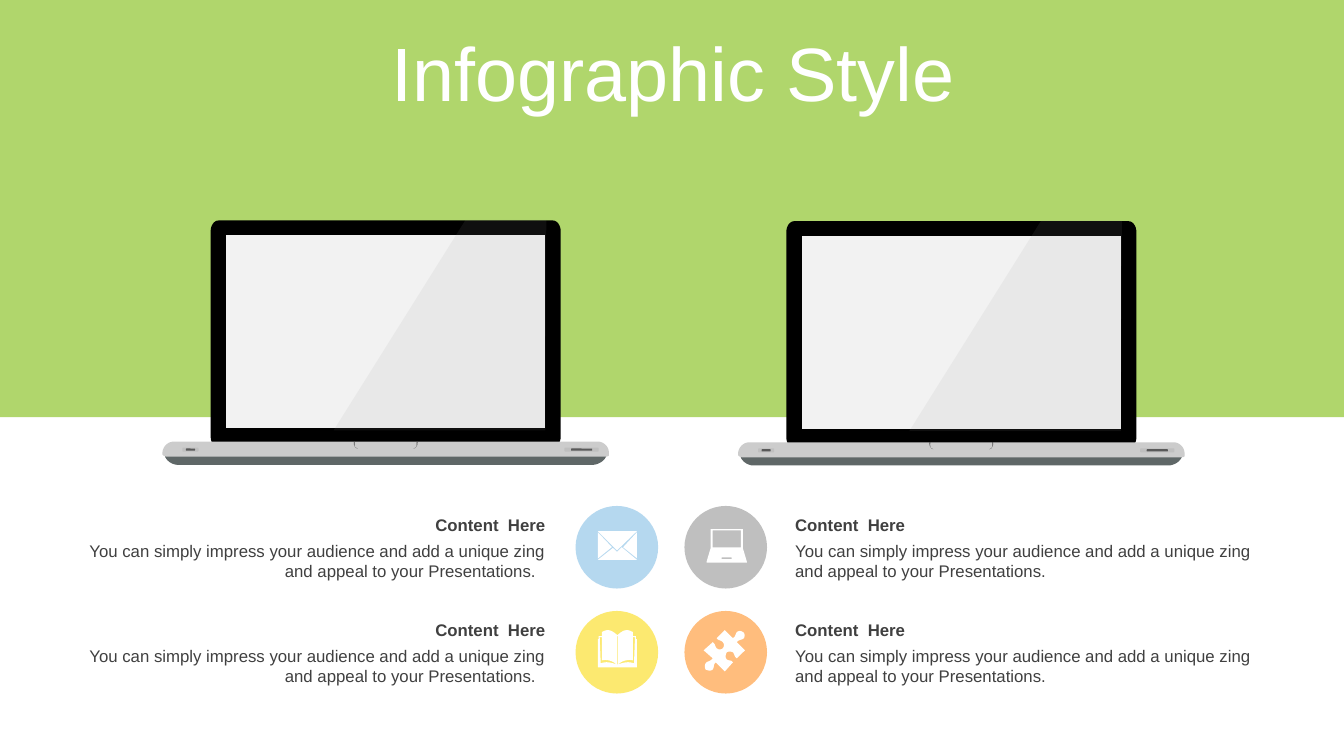
from lxml import etree
from pptx import Presentation
from pptx import util as u
from pptx.dml.color import RGBColor
from pptx.enum import shapes, text
from pptx.oxml.ns import qn

Pt = u.Pt
COLORS = {
    "green": "B0D66C", "white": "FFFFFF", "ink": "404040", "lid": "000000",
    "screen": "F2F2F2", "base": "CCCCCC", "foot": "5F6767", "notch": "4D4D4D",
    "slot": "BFBFBF", "port": "595959", "glare": "999999",
    "blue": "96C8E9", "gray": "A5A5A5", "yellow": "FBE034", "orange": "FFA246",
}

# Content
TITLE = "Infographic Style"
HEADING = "Content  Here"
BODY = "You can simply impress your audience and add a unique zing and appeal to your Presentations."

# Outlines use M (move), L (line), C (curve) and Z (close), in points
LAPTOPS = [(116, 157), (527.2, 157.5)]
LAPTOP_PARTS = [
    ("foot", "M 308 175 C 308 175 314.5 174.5 317 169 L 317 166 L 2 166 L 2 169.5 "
             "C 4 173.5 8.5 175 10.5 175 Z"),
    ("lid", "M 284.5 155 C 284.5 159 282 162.5 279 162.5 L 40 162.5 C 37 162.5 34.5 159 34.5 155 "
            "L 34.5 8 C 34.5 4 37 0.5 40 0.5 L 279 0.5 C 282 0.5 284.5 4 284.5 8 Z"),
    ("screen", "M 45.4 10.8 L 273.4 10.8 L 273.4 149 L 45.4 149 Z"),
    ("base", "M 8.5 158.4 L 311 158.4 C 315.3 158.4 319 162 319 166.3 L 319 168 "
             "C 319 168 319.5 169.2 316 169.2 L 4 169.2 C 3 169.2 1.4 169.2 0 167.7 "
             "L 0 166.3 C 0.5 162 3.5 158.4 8.5 158.4 Z"),
    ("notch", "M 137.4 158.4 C 137 162 137.5 163 139.6 163.4 C 136 162.5 136.8 158.4 136.8 158.4 Z "
              "M 181.6 158.4 C 182 162 181.5 163 179.4 163.4 C 183 162.5 182.2 158.4 182.2 158.4 Z"),
]
GLARE = "M 216.6 0 L 274.2 0 L 273.5 150.4 L 122.3 150.4 Z"
SLOTS = [(20.05, 11.5, 6.5), (299.45, 24.5, 15.1)]  # centre, slot width, port width
SLOT_Y = 164.2

ENVELOPE = ("M 33 29.5 L 43.9 38.5 L 15.9 38.5 L 26.7 30 L 29.7 32.8 Z "
            "M 43.9 18.8 L 43.9 37.4 L 34 29.5 Z M 15.9 18.8 L 26 29.4 L 15.9 37.6 Z "
            "M 15.9 18 L 43.9 18 L 29.7 31.7 Z")
NOTEBOOK = ("M 26.6 36.8 L 26.6 38 L 33.8 38 L 33.8 36.8 Z "
            "M 20.2 17.5 L 20.2 29.5 L 40.3 29.5 L 40.3 17.5 Z "
            "M 18.7 16.6 L 41.8 16.6 L 41.8 30.3 L 44.6 39.6 L 44.6 40.5 L 15.9 40.5 "
            "L 15.9 39.6 L 18.7 30.3 Z")
BOOK = ("M 29.9 17.3 C 32.4 15 34.6 13.7 36.7 13.7 C 38.2 13.7 39.6 14.4 41 15.1 L 41 18 "
        "L 43.2 18 L 43.2 20.2 L 43.9 20.2 L 43.9 40.3 L 15.9 40.3 L 15.9 20.2 L 16.6 20.2 "
        "L 16.6 18 L 18.8 18 L 18.8 15.1 C 20.2 14.4 21.6 13.7 23 13.7 "
        "C 25.2 13.7 27.4 15 29.9 17.3 Z "
        "M 30.2 18 L 30.2 38.2 C 33.8 35.3 37.4 34.6 41 35.3 L 41 18.7 L 42.5 18.7 "
        "L 41.8 37.4 C 37.4 36 35.3 36.7 30.2 38.2 L 29.7 38.2 L 29.7 18 Z "
        "M 29.5 38.2 C 25.9 35.3 22.3 34.6 18.8 35.3 L 18.8 18.7 L 17.3 18.7 "
        "L 18 37.4 C 22.3 36 24.5 36.7 29.5 38.2 Z")
PUZZLE = ("M 41.8 15.1 C 43.2 15.8 43.2 18 42.5 19.4 C 41 20.9 38.9 20.2 37.4 22.3 "
          "L 43.2 28.1 L 37.4 33.8 C 35.3 32.4 36 31 34.6 29.5 C 33.1 28.8 31.7 28.8 30.2 29.5 "
          "C 29.5 31 28.8 33.1 30.2 34.6 C 32.4 36 33.1 34.6 34.6 36.7 L 28.8 43.2 L 22.3 36.7 "
          "C 20.2 38.9 21.6 39.6 20.2 41.8 C 18.7 43.2 16.6 42.5 15.1 41.8 "
          "C 14.4 40.3 14.4 38.9 15.1 37.4 C 16.6 35.3 18 36.7 20.2 33.8 L 13.7 28.1 L 20.2 22.3 "
          "C 22.3 23.8 21.6 25.2 23 26.6 C 24.5 28.1 26.6 27.4 27.4 26.6 "
          "C 28.1 25.9 28.8 23.8 27.4 22.3 C 25.2 20.2 24.5 21.6 23 19.4 L 28.8 13.7 L 34.6 19.4 "
          "C 36.7 18 36 17.3 37.4 15.1 C 38.9 13.7 41 14.4 41.8 15.1 Z")

# Column, row, circle colour, icon
ITEMS = [(0, 0, "blue", ENVELOPE), (1, 0, "gray", NOTEBOOK),
         (0, 1, "yellow", BOOK), (1, 1, "orange", PUZZLE)]
# Circle left, text left, text width, alignment, end of the body text
COLUMNS = [(411.1, 48.2, 348.5, text.PP_ALIGN.RIGHT, "  "),
           (488.9, 560.9, 350.6, text.PP_ALIGN.LEFT, "")]
ROW_TOP, ROW_PITCH, CIRCLE = 361.4, 75, 59

prs = Presentation()
prs.slide_width, prs.slide_height = Pt(960), Pt(540)
s = prs.slides.add_slide(prs.slide_layouts[6])


def paint(sp, color, alpha=None):
    sp.shadow.inherit = False
    sp.fill.solid()
    sp.fill.fore_color.rgb = RGBColor.from_string(COLORS[color])
    sp.line.fill.background()
    if alpha:
        clr = sp.fill._xPr.find(qn("a:solidFill"))[0]
        etree.SubElement(clr, qn("a:alpha")).set("val", str(alpha * 1000))


def preset(kind, x, y, w, h, color, alpha=None):
    sp = s.shapes.add_shape(kind, Pt(x), Pt(y), Pt(w), Pt(h))
    paint(sp, color, alpha)
    return sp


def bezier(p0, p1, p2, p3, steps=8):
    for i in range(1, steps + 1):
        t = i / steps
        k = 1 - t
        yield tuple(k**3 * a + 3 * k * k * t * b + 3 * k * t * t * c + t**3 * d
                    for a, b, c, d in zip(p0, p1, p2, p3))


def outline(d, x0, y0, color, alpha=None):
    tokens = iter(d.split())
    point = lambda: (x0 + float(next(tokens)), y0 + float(next(tokens)))
    emu = lambda pt: (Pt(pt[0]), Pt(pt[1]))
    fb, pts = None, []
    for cmd in tokens:
        if cmd == "M":
            pts = [point()]
            if fb is None:
                fb = s.shapes.build_freeform(*emu(pts[0]))
            else:
                fb.move_to(*emu(pts[0]))
        elif cmd == "L":
            pts.append(point())
        elif cmd == "C":
            pts.extend(bezier(pts[-1], point(), point(), point()))
        else:
            fb.add_line_segments([emu(pt) for pt in pts[1:]], close=True)
    paint(fb.convert_to_shape(), color, alpha)


def label(words, x, y, w, h, size, color, align, bold=False, middle=True):
    tf = s.shapes.add_textbox(Pt(x), Pt(y), Pt(w), Pt(h)).text_frame
    tf.word_wrap = True
    tf.vertical_anchor = text.MSO_ANCHOR.MIDDLE if middle else text.MSO_ANCHOR.TOP
    p = tf.paragraphs[0]
    p.text, p.alignment = words, align
    p.font.name, p.font.size, p.font.bold = "Arial", Pt(size), bold
    p.font.color.rgb = RGBColor.from_string(COLORS[color])
    return p


# Green band
preset(shapes.MSO_SHAPE.RECTANGLE, 0, 0, 960, 298, "green")

# Laptops
for x, y in LAPTOPS:
    for color, d in LAPTOP_PARTS:
        outline(d, x, y, color)
    for center, slot_w, port_w in SLOTS:
        for w, h, color in [(slot_w, 2.9, "slot"), (port_w, 1.6, "port")]:
            sp = preset(shapes.MSO_SHAPE.ROUNDED_RECTANGLE, x + center - w / 2,
                        y + SLOT_Y - h / 2, w, h, color)
            sp.adjustments[0] = 0.28
    outline(GLARE, x, y, "glare", 10)

# Circles with icons and texts
for col, row, color, icon in ITEMS:
    x, text_x, text_w, align, ending = COLUMNS[col]
    y = ROW_TOP + row * ROW_PITCH
    preset(shapes.MSO_SHAPE.OVAL, x, y, CIRCLE, CIRCLE, color, 70)
    outline(icon, x, y, "white")
    label(HEADING, text_x, y + 3, text_w, 21.6, 12, "ink", align, bold=True)
    label(BODY + ending, text_x, y + 21, text_w, 36, 12, "ink", align, middle=False)

# Title
p = label(TITLE, 25.2, 26.6, 911.5, 56.9, 54, "white", text.PP_ALIGN.CENTER)
p.line_spacing = 0.9

prs.save("out.pptx")
